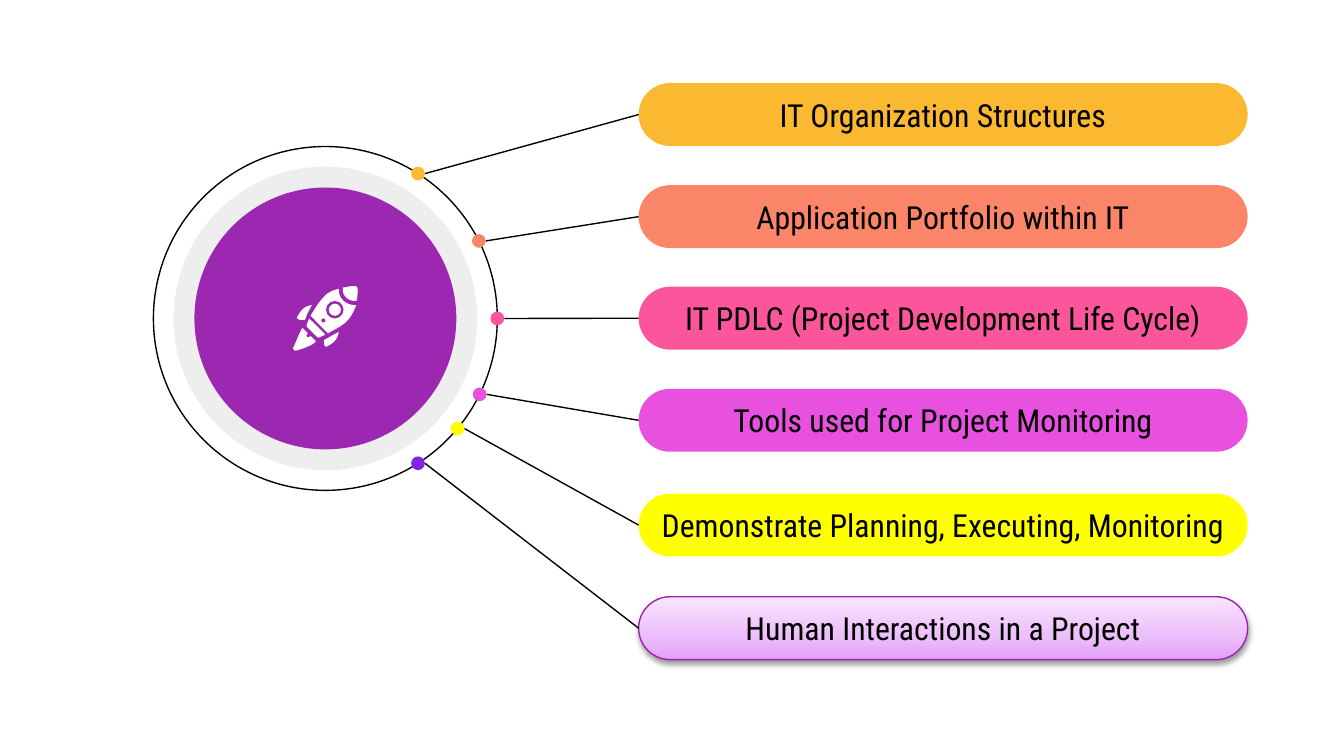
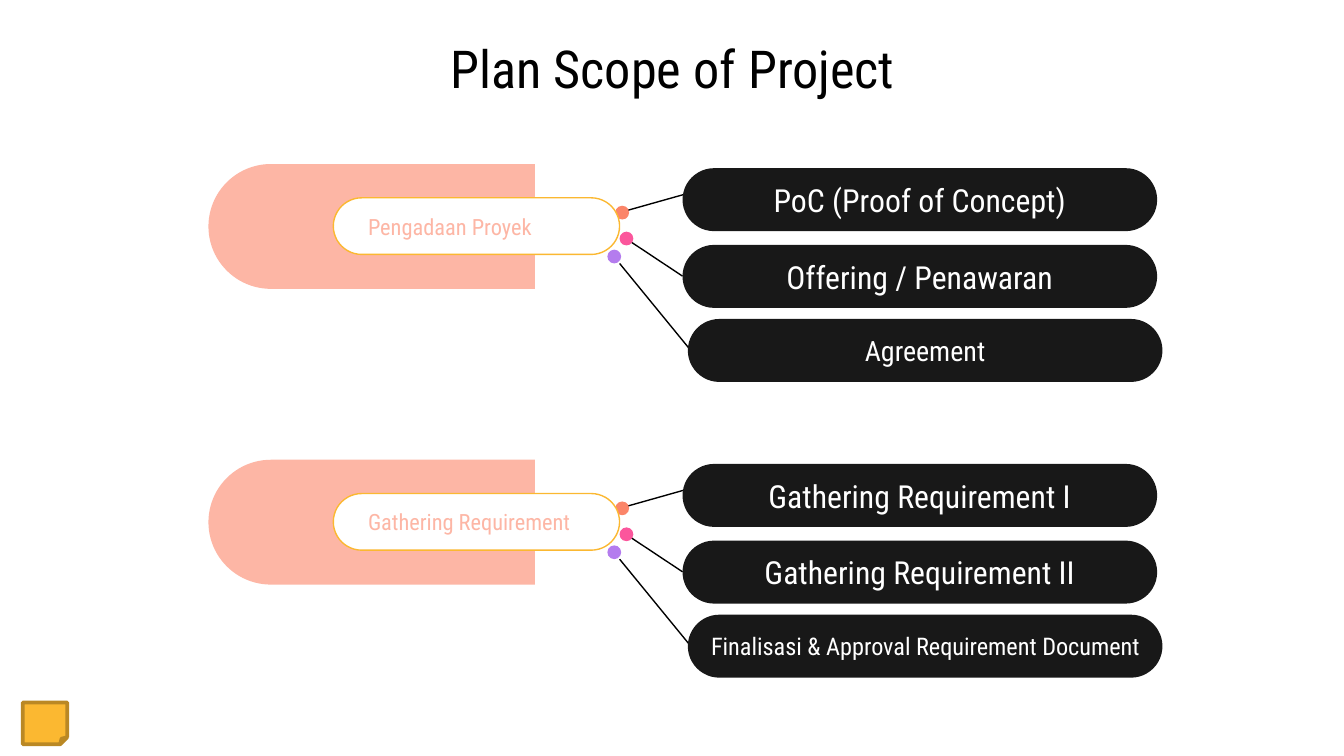
"""Builds two project slides: a topic wheel and the project scope."""
from copy import deepcopy
from dataclasses import dataclass
from math import cos, radians, sin

from lxml.etree import SubElement
from pptx import Presentation
from pptx.dml.color import RGBColor
from pptx.enum.shapes import MSO_CONNECTOR as Link, MSO_SHAPE as Preset
from pptx.enum.text import MSO_ANCHOR as Anchor, PP_ALIGN as Align
from pptx.oxml.ns import qn
from pptx.util import Cm, Pt


@dataclass(frozen=True)
class Theme:
    font: str = "Roboto Condensed"
    title_size: int = 28
    pill_size: int = 17
    badge_size: int = 12
    hairline: float = 0.75
    black: str = "000000"
    white: str = "FFFFFF"
    ink: str = "181818"
    grey: str = "EEEEEE"
    purple: str = "9C27B0"
    amber: str = "FBB831"
    dark_amber: str = "BA8824"
    coral: str = "FB8569"
    pale_coral: str = "FDB6A5"
    pink: str = "FB569C"
    magenta: str = "E850E0"
    yellow: str = "FFFF00"
    violet: str = "8225E2"
    lilac: str = "B47CEE"
    glow_edge: str = "9B23AF"
    glow: tuple = ((0, "E59FFB"), (0.35, "ECBDFA"), (1, "F8E5FE"))


T = Theme()

TOPICS = [
    ("IT Organization Structures", T.amber, 1.57, -57.4),
    ("Application Portfolio within IT", T.coral, 3.5, -26.8),
    ("IT PDLC (Project Development Life Cycle)", T.pink, 5.42, 0),
    ("Tools used for Project Monitoring", T.magenta, 7.35, 26.2),
    ("Demonstrate Planning, Executing, Monitoring", T.yellow, 9.33, 39.8),
    ("Human Interactions in a Project", T.violet, 11.28, 57.4),
]
GLOWING_TOPIC = TOPICS[-1][0]

SCOPE_TITLE = "Plan Scope of Project"
SCOPES = [
    ("Pengadaan Proyek", [
        ("PoC (Proof of Concept)", T.pill_size),
        ("Offering / Penawaran", T.pill_size),
        ("Agreement", 15),
    ]),
    ("Gathering Requirement", [
        ("Gathering Requirement I", T.pill_size),
        ("Gathering Requirement II", T.pill_size),
        ("Finalisasi & Approval Requirement Document", 13),
    ]),
]
SCOPE_TOP, SCOPE_PITCH = 3.18, 5.59
STEP_PLACES = [
    ((12.9, 0), (11.63, 0.71), T.coral, ((13.16, 0.43), (11.81, 0.81))),
    ((12.9, 1.45), (11.71, 1.2), T.pink, ((11.86, 1.35), (12.9, 2.04))),
    ((13, 2.85), (11.48, 1.54), T.lilac, ((11.71, 1.8), (13.06, 3.45))),
]

HUB_X, HUB_Y, ORBIT = 6.15, 6.02, 3.25
PILL_HEIGHT, DOT = 1.19, 0.26
TOPIC_LEFT, TOPIC_WIDTH, STEP_WIDTH = 12.07, 11.51, 8.97

ROCKET_LEFT, ROCKET_TOP, ROCKET_SIZE, ROCKET_UNITS = 5.54, 5.41, 1.22, 48
ROCKET_PARTS = [
    [(12, 24), (10, 29), (10, 30), (18, 38), (20, 38), (24, 36)],
    [(44, 0), (42, 0, 39, 1, 37, 1), (37, 3), (37, 7, 41, 11, 46, 11),
     (47, 11), (48, 9, 48, 5, 48, 2), (48, 1, 47, 0, 46, 0)],
    [(34, 2), (29, 3, 25, 5, 22, 9), (19, 12, 16, 17, 13, 22), (26, 35),
     (31, 32, 36, 30, 40, 26), (43, 23, 45, 19, 47, 14), (46, 14),
     (39, 14, 34, 9, 34, 3)],
    [(34, 34), (30, 36, 27, 38, 23, 40), (23, 43), (23, 44, 24, 45, 25, 45),
     (26, 44, 33, 42, 34, 34)],
    [(14, 14), (6, 15, 4, 22, 3, 23), (3, 24), (5, 25), (9, 25),
     (10, 21, 12, 18, 14, 14)],
    [(7, 31), (5, 34, 2, 42, 0, 46), (0, 47, 1, 48, 2, 48),
     (6, 47, 15, 44, 17, 41), (13, 37), (12, 38),
     (10, 38, 10, 38, 10, 36), (11, 35), (8, 32)],
]
ROCKET_ROUNDS = [
    (31, 17.5, 13, T.purple), (31, 17.5, 9, T.white), (22.5, 25.5, 3, T.purple),
]


def paint(shape, fill=None, edge=None, weight=T.hairline):
    shape.shadow.inherit = False
    if fill:
        shape.fill.solid()
        shape.fill.fore_color.rgb = RGBColor.from_string(fill)
    else:
        shape.fill.background()
    if edge:
        shape.line.color.rgb = RGBColor.from_string(edge)
        shape.line.width = Pt(weight)
    else:
        shape.line.fill.background()
    return shape


def add_preset(shapes, preset, left, top, width, height, *look):
    shape = shapes.add_shape(preset, Cm(left), Cm(top), Cm(width), Cm(height))
    return paint(shape, *look)


def add_disc(shapes, x, y, size, *look):
    return add_preset(shapes, Preset.OVAL, x - size / 2, y - size / 2, size, size, *look)


def write(shape, words, size, color, align=Align.CENTER, indent=0.25):
    frame = shape.text_frame
    frame.word_wrap = True
    frame.vertical_anchor = Anchor.MIDDLE
    frame.margin_left = Cm(indent)
    frame.margin_top = frame.margin_right = frame.margin_bottom = Cm(0.25)
    paragraph = frame.paragraphs[0]
    paragraph.text = words
    paragraph.alignment = align
    paragraph.font.name = T.font
    paragraph.font.size = Pt(size)
    paragraph.font.color.rgb = RGBColor.from_string(color)


def add_pill(shapes, left, top, width, height, *look):
    pill = add_preset(shapes, Preset.ROUNDED_RECTANGLE, left, top, width, height, *look)
    pill.adjustments[0] = 0.5
    return pill


def add_link(shapes, start, end):
    link = shapes.add_connector(Link.STRAIGHT, *map(Cm, (*start, *end)))
    link.line.color.rgb = RGBColor.from_string(T.black)
    link.line.width = Pt(T.hairline)
    SubElement(link.element.spPr, qn("a:effectLst"))


def add_glow(pill):
    pill.fill.gradient()
    pill.fill.gradient_angle = 90
    properties = pill.element.spPr
    stops = properties.find(f".//{qn('a:gsLst')}")
    stops.append(deepcopy(stops[0]))
    for stop, (position, color) in zip(pill.fill.gradient_stops, T.glow):
        stop.position = position
        stop.color.rgb = RGBColor.from_string(color)
    shadow = SubElement(properties.find(qn("a:effectLst")), qn("a:outerShdw"),
                        blurRad=str(Pt(3.1)), dist=str(Pt(1.6)),
                        dir="5400000", rotWithShape="0")
    tint = SubElement(shadow, qn("a:srgbClr"), val=T.black)
    SubElement(tint, qn("a:alpha"), val="38000")


def flatten(outline, steps=8):
    points = [outline[0]]
    for segment in outline[1:]:
        if len(segment) == 2:
            points.append(segment)
            continue
        x0, y0 = points[-1]
        x1, y1, x2, y2, x3, y3 = segment
        for step in range(1, steps + 1):
            t = step / steps
            a, b, c, d = (1 - t) ** 3, 3 * t * (1 - t) ** 2, 3 * t * t * (1 - t), t ** 3
            points.append((a * x0 + b * x1 + c * x2 + d * x3,
                           a * y0 + b * y1 + c * y2 + d * y3))
    return points


def add_rocket(shapes):
    rocket = shapes.add_group_shape().shapes
    fineness = 100
    unit = ROCKET_SIZE / ROCKET_UNITS
    for outline in ROCKET_PARTS:
        points = [(x * fineness, y * fineness) for x, y in flatten(outline)]
        builder = rocket.build_freeform(*points[0], scale=Cm(unit) / fineness)
        builder.add_line_segments(points[1:], close=True)
        paint(builder.convert_to_shape(Cm(ROCKET_LEFT), Cm(ROCKET_TOP)), T.white)
    for x, y, size, color in ROCKET_ROUNDS:
        add_disc(rocket, ROCKET_LEFT + x * unit, ROCKET_TOP + y * unit, size * unit, color)


def build_wheel(shapes):
    add_disc(shapes, HUB_X, HUB_Y, 2 * ORBIT, None, T.black)
    add_disc(shapes, HUB_X, HUB_Y, 5.74, T.grey)
    add_disc(shapes, HUB_X, HUB_Y, 4.95, T.purple)
    for topic, color, top, angle in TOPICS:
        x = HUB_X + ORBIT * cos(radians(angle))
        y = HUB_Y + ORBIT * sin(radians(angle))
        glowing = topic == GLOWING_TOPIC
        pill = add_pill(shapes, TOPIC_LEFT, top, TOPIC_WIDTH, PILL_HEIGHT,
                        color, T.glow_edge if glowing else None)
        if glowing:
            add_glow(pill)
        write(pill, topic, T.pill_size, T.black)
        add_link(shapes, (TOPIC_LEFT, top + PILL_HEIGHT / 2), (x + DOT / 2, y))
        add_disc(shapes, x, y, DOT, color)
    add_rocket(shapes)


def add_scope(shapes, heading, steps, scope_top):
    for (step, size), (pill_at, dot_at, color, ends) in zip(steps, STEP_PLACES):
        add_link(shapes, *((x, scope_top + y) for x, y in ends))
        pill = add_pill(shapes, pill_at[0], scope_top + pill_at[1],
                        STEP_WIDTH, PILL_HEIGHT, T.ink)
        write(pill, step, size, T.white)
        add_preset(shapes, Preset.OVAL, dot_at[0], scope_top + dot_at[1], DOT, DOT, color)
    label = shapes.add_group_shape().shapes
    length, depth = 6.17, 2.36
    shift = (length - depth) / 2
    tab = add_preset(label, Preset.ROUND_2_SAME_RECTANGLE, 3.94 + shift,
                     scope_top - 0.08 - shift, depth, length, T.pale_coral)
    tab.adjustments[0], tab.adjustments[1] = 0.5, 0
    tab.rotation = 270
    badge = add_pill(label, 6.3, scope_top + 0.56, 5.41, 1.07, T.white, T.amber)
    write(badge, heading, T.badge_size, T.pale_coral, Align.LEFT, 0.5)


def build_scope(shapes):
    title = shapes.add_textbox(Cm(1.98), Cm(0.61), Cm(21.46), Cm(1.35))
    write(title, SCOPE_TITLE, T.title_size, T.black)
    for index, (heading, steps) in enumerate(SCOPES):
        add_scope(shapes, heading, steps, SCOPE_TOP + index * SCOPE_PITCH)
    add_preset(shapes, Preset.FOLDED_CORNER, 0.43, 13.28, 0.84, 0.79,
               T.amber, T.dark_amber, 2)


def main():
    deck = Presentation()
    deck.slide_width, deck.slide_height = Cm(25.4), Cm(14.29)
    for build in (build_wheel, build_scope):
        build(deck.slides.add_slide(deck.slide_layouts[6]).shapes)
    deck.save("out.pptx")


if __name__ == "__main__":
    main()
